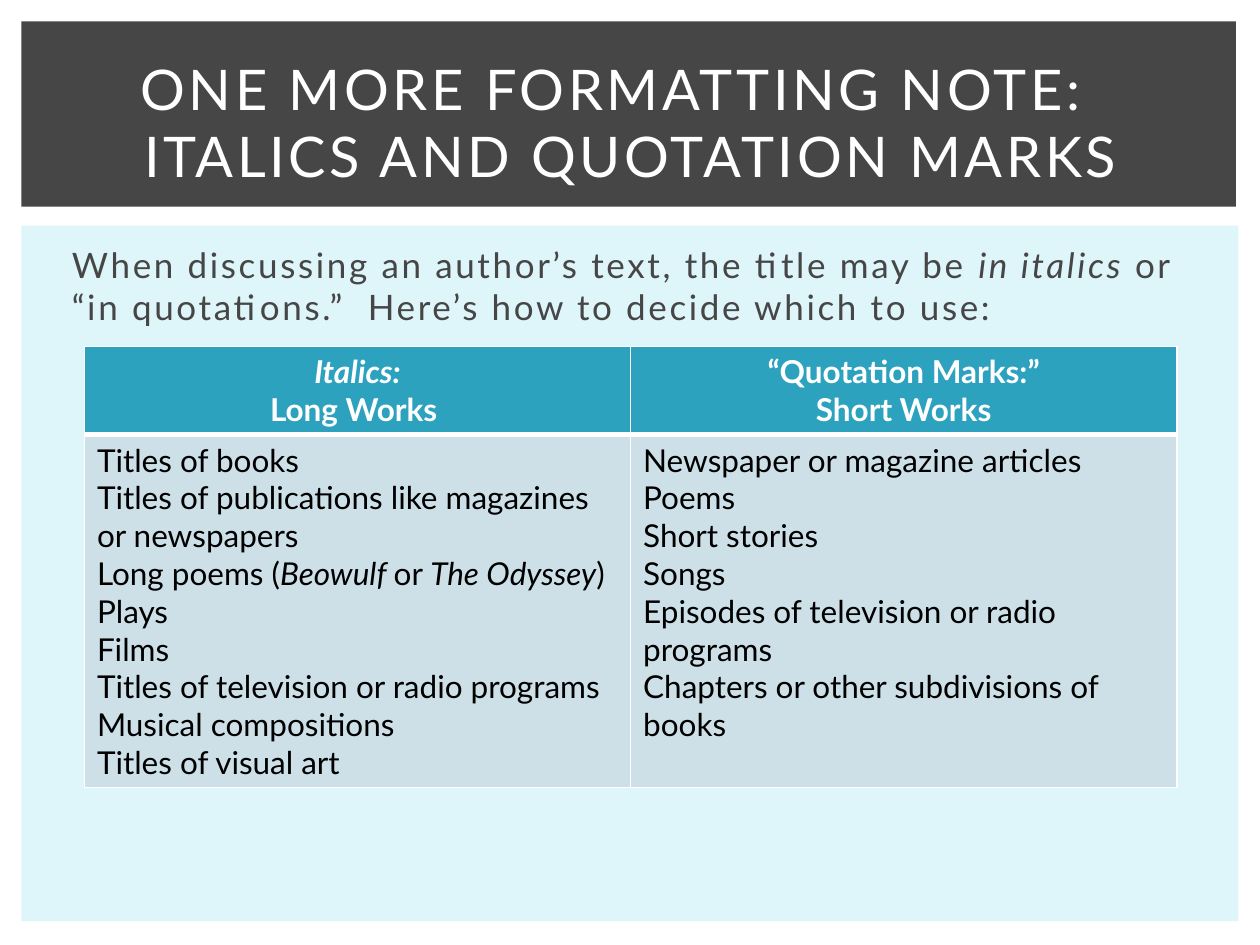
from lxml import etree
from pptx import Presentation
from pptx.dml.color import RGBColor
from pptx.enum.shapes import MSO_SHAPE
from pptx.enum.text import MSO_ANCHOR, PP_ALIGN
from pptx.oxml.ns import qn
from pptx.util import Inches, Pt

RECTANGLE = MSO_SHAPE.RECTANGLE
MIDDLE = MSO_ANCHOR.MIDDLE
LEFT, CENTER = PP_ALIGN.LEFT, PP_ALIGN.CENTER

COLORS = {
    "panel": "DEF5FA",
    "dark": "464646",
    "white": "FFFFFF",
    "header": "2DA2BF",
    "body": "CDE0E8",
    "black": "000000",
}


def write_paragraph(para, text, size, color, align=LEFT, bold=False, spacing=0):
    """Write text in which *stars* enclose italics and newlines break lines."""
    para.alignment = align
    para.font.name = "Lato"
    para.font.size = Pt(size)
    para.font.bold = bold
    para.font.color.rgb = RGBColor.from_string(COLORS[color])
    for number, part in enumerate(text.split("*")):
        for line_number, line in enumerate(part.split("\n")):
            if line_number:
                para.add_line_break()
            if line:
                span = para.add_run()
                span.text = line
                span.font.italic = number % 2 == 1
                if spacing:
                    span.font._element.set("spc", str(int(spacing * 100)))


def set_borders(cell, widths):
    """Put white borders on a cell; widths are points for each side."""
    properties = cell._tc.get_or_add_tcPr()
    for position, (side, width) in enumerate(widths.items()):
        line = etree.Element(qn(f"a:ln{side}"), w=str(Pt(width)))
        fill = etree.SubElement(line, qn("a:solidFill"))
        etree.SubElement(fill, qn("a:srgbClr"), val=COLORS["white"])
        properties.insert(position, line)


deck = Presentation()
deck.slide_width, deck.slide_height = Inches(10), Inches(7.5)
page = deck.slides.add_slide(deck.slide_layouts[6])

# Background panels
for top, width, height, color in [(1.79, 9.66, 5.52, "panel"), (0.17, 9.64, 1.47, "dark")]:
    panel = page.shapes.add_shape(
        RECTANGLE, Inches(0.17), Inches(top), Inches(width), Inches(height))
    panel.shadow.inherit = False
    panel.fill.solid()
    panel.fill.fore_color.rgb = RGBColor.from_string(COLORS[color])
    panel.line.fill.background()

# Introduction
intro = page.shapes.add_textbox(Inches(0.42), Inches(1.88), Inches(9.19), Inches(4.82)).text_frame
intro.word_wrap = True
intro.margin_left = Inches(0.15)
write_paragraph(
    intro.paragraphs[0],
    "When discussing an author’s text, the title may be *in italics*"
    " or “in quotations.”  Here’s how to decide which to use:",
    20, "dark", spacing=1.5)

# Title
title = page.shapes.add_textbox(Inches(0.42), Inches(0.39), Inches(9.17), Inches(1.15)).text_frame
title.word_wrap = True
title.vertical_anchor = MIDDLE
write_paragraph(
    title.paragraphs[0],
    "ONE MORE FORMATTING NOTE:  \nITALICS AND QUOTATION MARKS",
    32, "white", CENTER, spacing=2)

# Table of long and short works
rows = [
    [
        ["*Italics:*", "Long Works "],
        ["“Quotation Marks:”\nShort Works"],
    ],
    [
        [
            "Titles of books",
            "Titles of publications like magazines or newspapers",
            "Long poems (*Beowulf *or *The Odyssey*)",
            "Plays",
            "Films",
            "Titles of television or radio programs",
            "Musical compositions",
            "Titles of visual art",
        ],
        [
            "Newspaper or magazine articles",
            "Poems",
            "Short stories",
            "Songs",
            "Episodes of television or radio programs",
            "Chapters or other subdivisions of books",
        ],
    ],
]
row_styles = [
    {"height": 0.7, "fill": "header", "text": "white", "align": CENTER, "bold": True,
     "borders": {"L": 1, "R": 1, "T": 1, "B": 3}},
    {"height": 2.8, "fill": "body", "text": "black", "align": LEFT, "bold": False,
     "borders": {"L": 1, "R": 1, "T": 3, "B": 1}},
]
table = page.shapes.add_table(
    2, 2, Inches(0.67), Inches(2.75), Inches(8.67), Inches(3.5)).table
for row_number, (row, style) in enumerate(zip(rows, row_styles)):
    table.rows[row_number].height = Inches(style["height"])
    for column_number, lines in enumerate(row):
        cell = table.cell(row_number, column_number)
        cell.fill.solid()
        cell.fill.fore_color.rgb = RGBColor.from_string(COLORS[style["fill"]])
        set_borders(cell, style["borders"])
        frame = cell.text_frame
        for line_number, line in enumerate(lines):
            para = frame.add_paragraph() if line_number else frame.paragraphs[0]
            write_paragraph(para, line, 18, style["text"], style["align"], style["bold"])

deck.save("out.pptx")
